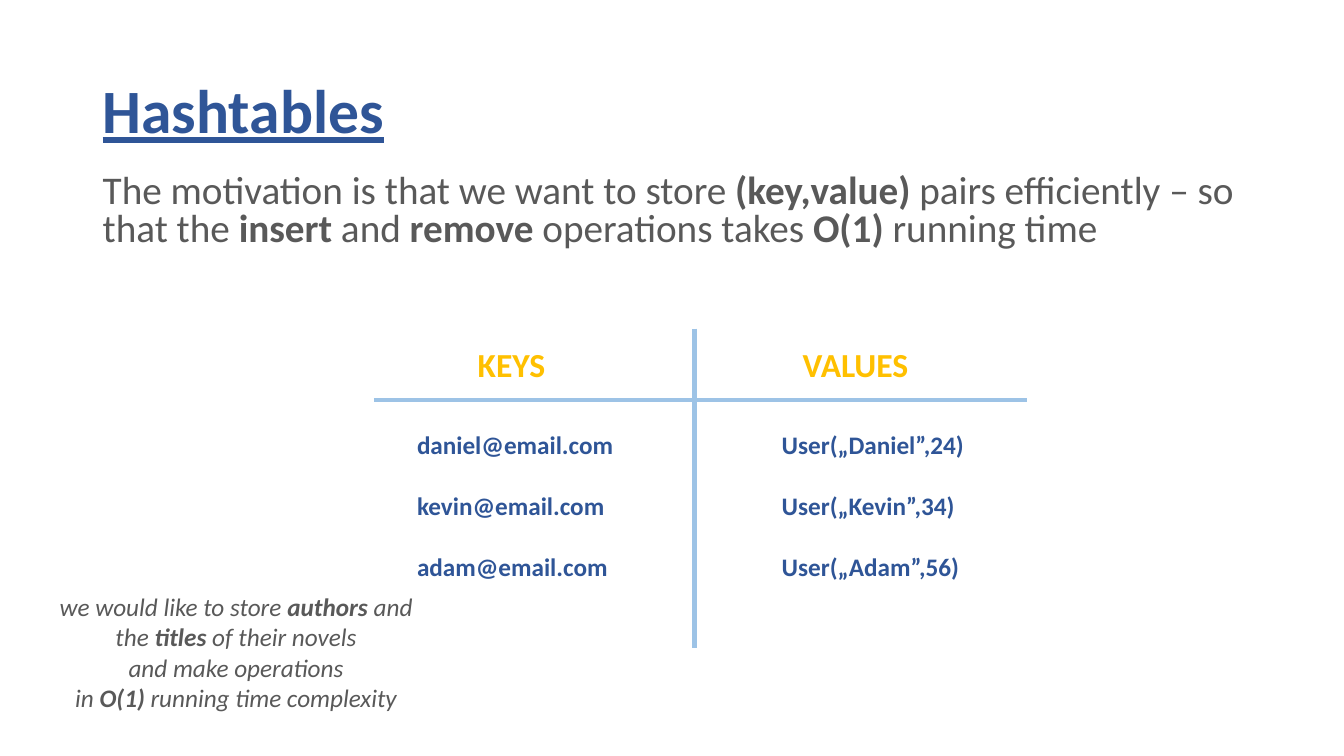
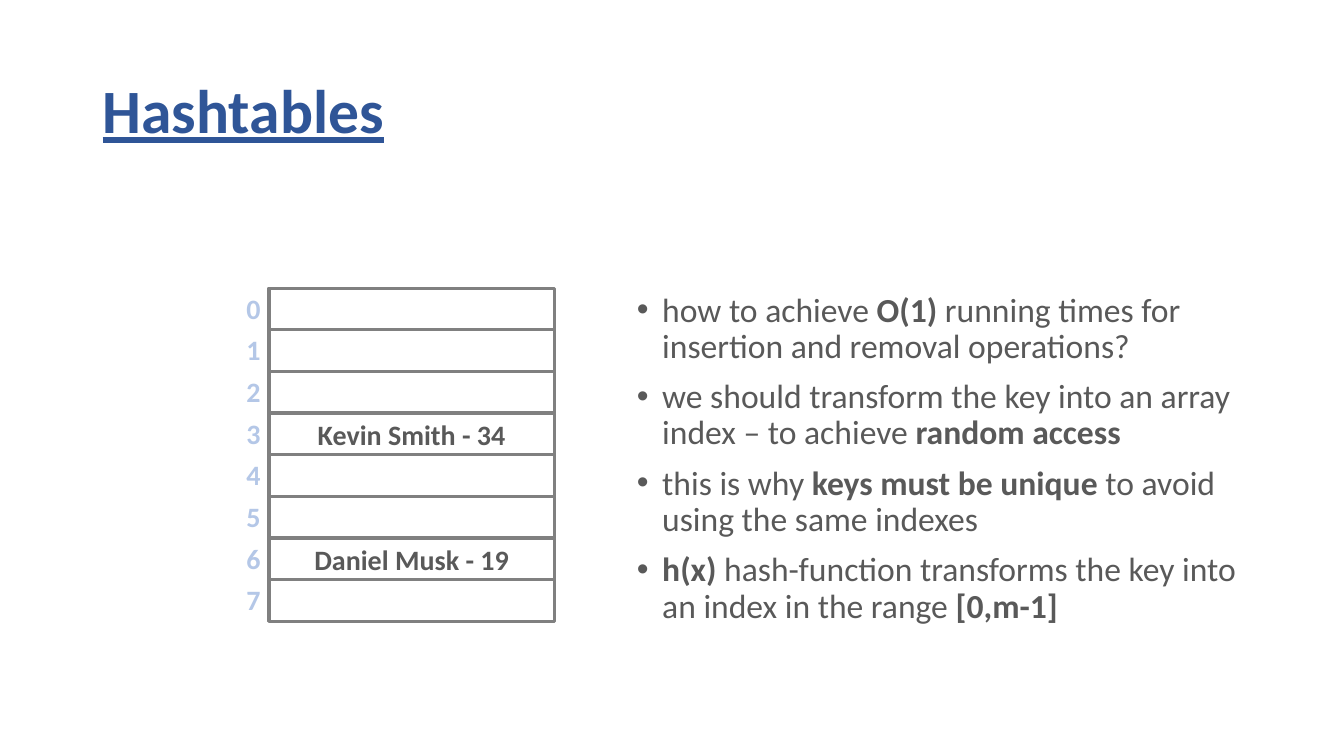
from lxml import etree
from pptx import Presentation
from pptx.dml.color import RGBColor
from pptx.enum import shapes, text
from pptx.oxml import ns
from pptx.util import Cm, Pt

NAVY = RGBColor(0x2F, 0x55, 0x97)
SKY = RGBColor(0x9D, 0xC3, 0xE6)
PALE = RGBColor(0xB4, 0xC7, 0xE7)
GOLD = RGBColor(0xFF, 0xC0, 0x00)
DARK = RGBColor(0x59, 0x59, 0x59)
GREY = RGBColor(0x80, 0x80, 0x80)

CENTER = text.PP_ALIGN.CENTER
MIDDLE = text.MSO_ANCHOR.MIDDLE


class Deck:
    font = "Calibri"

    def __init__(self):
        self.prs = Presentation()
        self.prs.slide_width, self.prs.slide_height = Cm(33.87), Cm(19.05)
        self.slide = None

    def new_slide(self, title):
        self.slide = self.prs.slides.add_slide(self.prs.slide_layouts[6])
        self.text_box((2.34, 1.02, 29.21, 3.68), [title], 44, NAVY, anchor=MIDDLE,
                      style={"bold": True, "underline": True},
                      layout={"line_spacing": 0.9})

    def fill_text(self, frame, lines, size, color, style=None, layout=None, bullet=False):
        """Fill a frame with one paragraph per line; **marks** switch bold on."""
        for number, line in enumerate(lines):
            paragraph = frame.add_paragraph() if number else frame.paragraphs[0]
            for name, value in (layout or {}).items():
                setattr(paragraph, name, value)
            if bullet:
                self.bullet(paragraph)
            for part, words in enumerate(line.split("**")):
                if not words:
                    continue
                run = paragraph.add_run()
                run.text = words
                look = {"name": self.font, "size": Pt(size), "bold": part % 2 == 1}
                for name, value in {**look, **(style or {})}.items():
                    setattr(run.font, name, value)
                run.font.color.rgb = color

    def bullet(self, paragraph):
        props = paragraph._p.get_or_add_pPr()
        props.set("marL", str(Cm(0.64)))
        props.set("indent", str(-Cm(0.64)))
        etree.SubElement(props, ns.qn("a:buFont"), typeface="Arial")
        etree.SubElement(props, ns.qn("a:buChar"), char="•")

    def text_box(self, place, lines, size, color, anchor=text.MSO_ANCHOR.TOP, **options):
        frame = self.slide.shapes.add_textbox(*map(Cm, place)).text_frame
        frame.word_wrap = True
        frame.vertical_anchor = anchor
        self.fill_text(frame, lines, size, color, **options)

    def line(self, x1, y1, x2, y2):
        rule = self.slide.shapes.add_connector(
            shapes.MSO_CONNECTOR.STRAIGHT, Cm(x1), Cm(y1), Cm(x2), Cm(y2))
        rule.line.color.rgb = SKY
        rule.line.width = Pt(3)
        etree.SubElement(rule._element.spPr, ns.qn("a:effectLst"))

    def cell(self, place, label):
        box = self.slide.shapes.add_shape(shapes.MSO_SHAPE.RECTANGLE, *map(Cm, place))
        box.shadow.inherit = False
        box.fill.background()
        box.line.color.rgb = GREY
        box.line.width = Pt(2.25)
        if label:
            box.text_frame.vertical_anchor = MIDDLE
            self.fill_text(box.text_frame, [label], 20, DARK, style={"bold": True},
                           layout={"alignment": CENTER})


def motivation(deck):
    deck.new_slide("Hashtables")
    deck.text_box(
        (2.34, 4.27, 29.21, 2.34),
        ["The motivation is that we want to store **(key,value)** pairs efficiently – so "
         "that the **insert** and **remove** operations takes **O(1)** running time"],
        28, DARK, layout={"line_spacing": 0.8, "space_before": Pt(10)})

    # Keys and values, split by a cross of lines
    deck.line(9.42, 10.08, 25.88, 10.08)
    deck.line(17.5, 8.28, 17.5, 16.33)
    columns = [
        ("KEYS", 11.79, 10.26,
         ["daniel@email.com", "kevin@email.com", "adam@email.com"]),
        ("VALUES", 19.98, 19.45,
         ["User(„Daniel”,24)", "User(„Kevin”,34)", "User(„Adam”,56)"]),
    ]
    for heading, heading_left, entries_left, entries in columns:
        deck.text_box((heading_left, 8.53, 5, 1.27), [heading], 24, GOLD,
                      style={"bold": True})
        deck.text_box((entries_left, 10.69, 6.5, 4.11), entries, 18, NAVY,
                      style={"bold": True}, layout={"space_after": Pt(22)})

    # Aim of the example
    deck.text_box(
        (0.7, 14.78, 10.5, 3.33),
        ["we would like to store **authors** and", "the **titles** of their novels",
         "and make operations", "in **O(1)** running time complexity"],
        18, DARK, style={"italic": True}, layout={"alignment": CENTER})


def array_index(deck):
    deck.new_slide("Hashtables")

    # Array with its indexes
    top, height = 7.26, 1.05
    stored = {3: "Kevin Smith - 34", 6: "Daniel Musk - 19"}
    for index in range(8):
        y = top + index * height
        deck.cell((6.78, y, 7.19, height), stored.get(index))
        deck.text_box((5.96, y - 0.05, 0.86, 1.12), [str(index)], 20, PALE,
                      style={"bold": True}, layout={"alignment": CENTER})

    # Reasoning
    deck.text_box(
        (15.8, top, 16.46, 10),
        ["how to achieve **O(1)** running times for insertion and removal operations?",
         "we should transform the key into an array index – to achieve **random access**",
         "this is why **keys must be unique **to avoid using the same indexes",
         "**h(x)** hash-function transforms the key into an index in the range **[0,m-1]**"],
        24, DARK, bullet=True, layout={"line_spacing": 0.9, "space_before": Pt(10)})


def main():
    deck = Deck()
    motivation(deck)
    array_index(deck)
    deck.prs.save("out.pptx")


if __name__ == "__main__":
    main()
